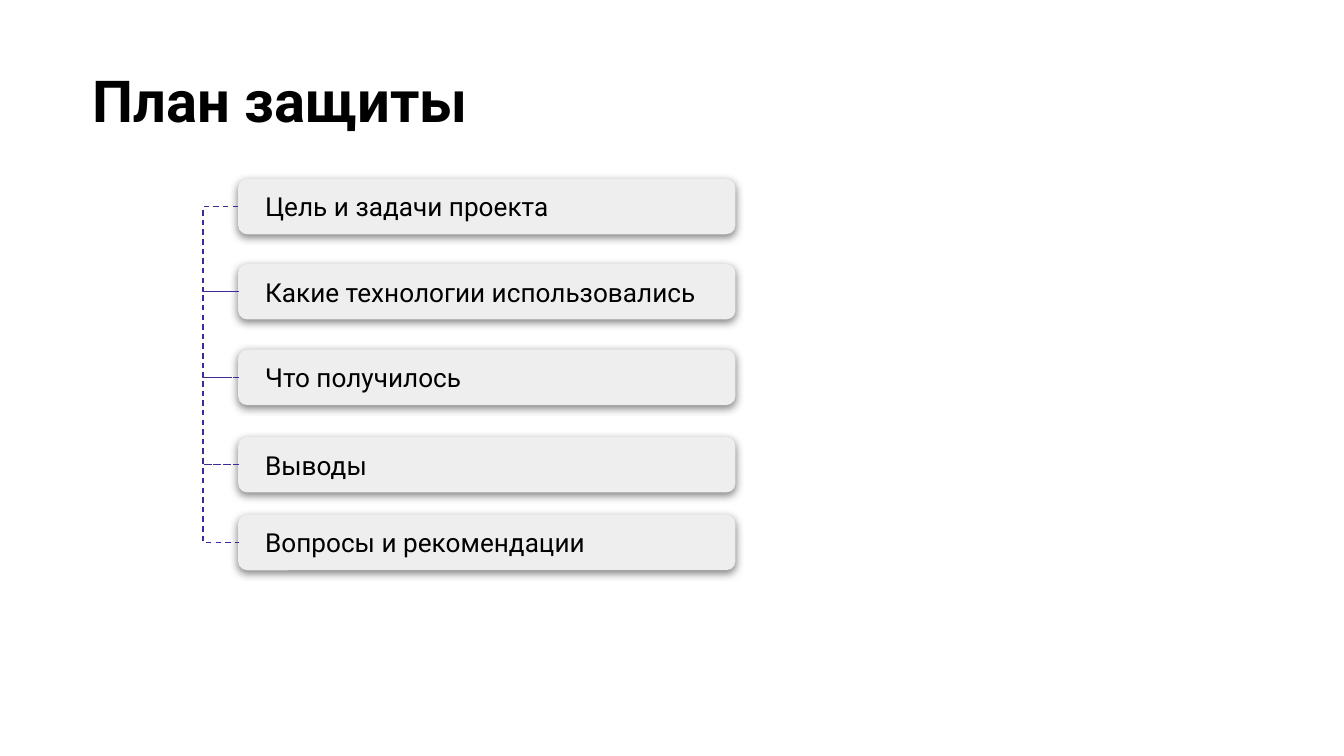
from dataclasses import dataclass
from itertools import pairwise

from lxml import etree
from pptx import Presentation
from pptx.dml.color import RGBColor
from pptx.enum import dml, shapes, text
from pptx.oxml import ns
from pptx.util import Cm, Pt


@dataclass(frozen=True)
class Theme:
    font: str = "Roboto"
    ink: RGBColor = RGBColor(0x00, 0x00, 0x00)
    card: RGBColor = RGBColor(0xEE, 0xEE, 0xEE)
    bracket: RGBColor = RGBColor(0x3F, 0x29, 0x9A)
    title_size: Pt = Pt(31)
    step_size: Pt = Pt(14)
    bracket_width: Pt = Pt(0.75)


THEME = Theme()
LEFT_SIDE = 1

# Each step of the talk with its distance in cm from the top of the plan
STEPS = [
    ("Цель и задачи проекта", 0),
    ("Какие технологии использовались", 1.61),
    ("Что получилось", 3.23),
    ("Выводы", 4.88),
    ("Вопросы и рекомендации", 6.35),
]


def add_xml(parent, tag, **attributes):
    return etree.SubElement(parent, ns.qn(tag), attributes)


def write(frame, wording, size, inset, bold=False):
    frame.word_wrap = True
    frame.margin_left = frame.margin_right = inset
    frame.margin_top = frame.margin_bottom = Cm(0.25)
    paragraph = frame.paragraphs[0]
    paragraph.alignment = text.PP_ALIGN.LEFT
    run = paragraph.add_run()
    run.text = wording
    run.font.name = THEME.font
    run.font.size = size
    run.font.bold = bold
    run.font.color.rgb = THEME.ink


def add_soft_shadow(card):
    card.shadow.inherit = False
    effects = card._element.spPr.find(ns.qn("a:effectLst"))
    shadow = add_xml(effects, "a:outerShdw", blurRad=str(Pt(4.5)), dist=str(Pt(1.5)),
                     dir="5400000", algn="bl", rotWithShape="0")
    colour = add_xml(shadow, "a:srgbClr", val="000000")
    add_xml(colour, "a:alpha", val="50000")


def add_title(slide, left, top, width, height):
    title = slide.shapes.add_textbox(left, top, width, height)
    write(title.text_frame, "План защиты", THEME.title_size, Cm(0.25), bold=True)


def add_step(slide, wording, left, top, width, height):
    card = slide.shapes.add_shape(shapes.MSO_SHAPE.ROUNDED_RECTANGLE, left, top, width, height)
    card.fill.solid()
    card.fill.fore_color.rgb = THEME.card
    card.line.fill.background()
    add_soft_shadow(card)
    card.text_frame.vertical_anchor = text.MSO_ANCHOR.MIDDLE
    write(card.text_frame, wording, THEME.step_size, Cm(0.46))
    return card


def add_bracket(slide, upper, lower, reach):
    """Join the left sides of two cards by an elbow that stands out by reach."""
    bracket = slide.shapes.add_connector(shapes.MSO_CONNECTOR.ELBOW, 0, 0, 0, 0)
    bracket.begin_connect(upper, LEFT_SIDE)
    bracket.end_connect(lower, LEFT_SIDE)
    # The bend is a share of the width, so the width must not be zero
    sliver = Cm(0.01)
    bracket.end_x = lower.left + sliver
    bracket.line.color.rgb = THEME.bracket
    bracket.line.width = THEME.bracket_width
    bracket.line.dash_style = dml.MSO_LINE.DASH
    properties = bracket._element.spPr
    add_xml(properties, "a:effectLst")
    bends = properties.find(ns.qn("a:prstGeom")).find(ns.qn("a:avLst"))
    add_xml(bends, "a:gd", name="adj1", fmla=f"val {-round(reach / sliver * 100000)}")


def add_plan(slide, left, top, width, height):
    reach = Cm(0.66)
    card_height = height - Cm(STEPS[-1][1])
    cards = [
        add_step(slide, wording, left + reach, top + Cm(offset), width - reach, card_height)
        for wording, offset in STEPS
    ]
    for upper, lower in pairwise(cards):
        add_bracket(slide, upper, lower, reach)


def main():
    deck = Presentation()
    deck.slide_width, deck.slide_height = Cm(25.4), Cm(14.29)
    slide = deck.slides.add_slide(deck.slide_layouts[6])
    add_title(slide, Cm(1.5), Cm(0.97), Cm(23.67), Cm(1.83))
    add_plan(slide, Cm(3.84), Cm(3.38), Cm(10.06), Cm(7.4))
    deck.save("out.pptx")


if __name__ == "__main__":
    main()
